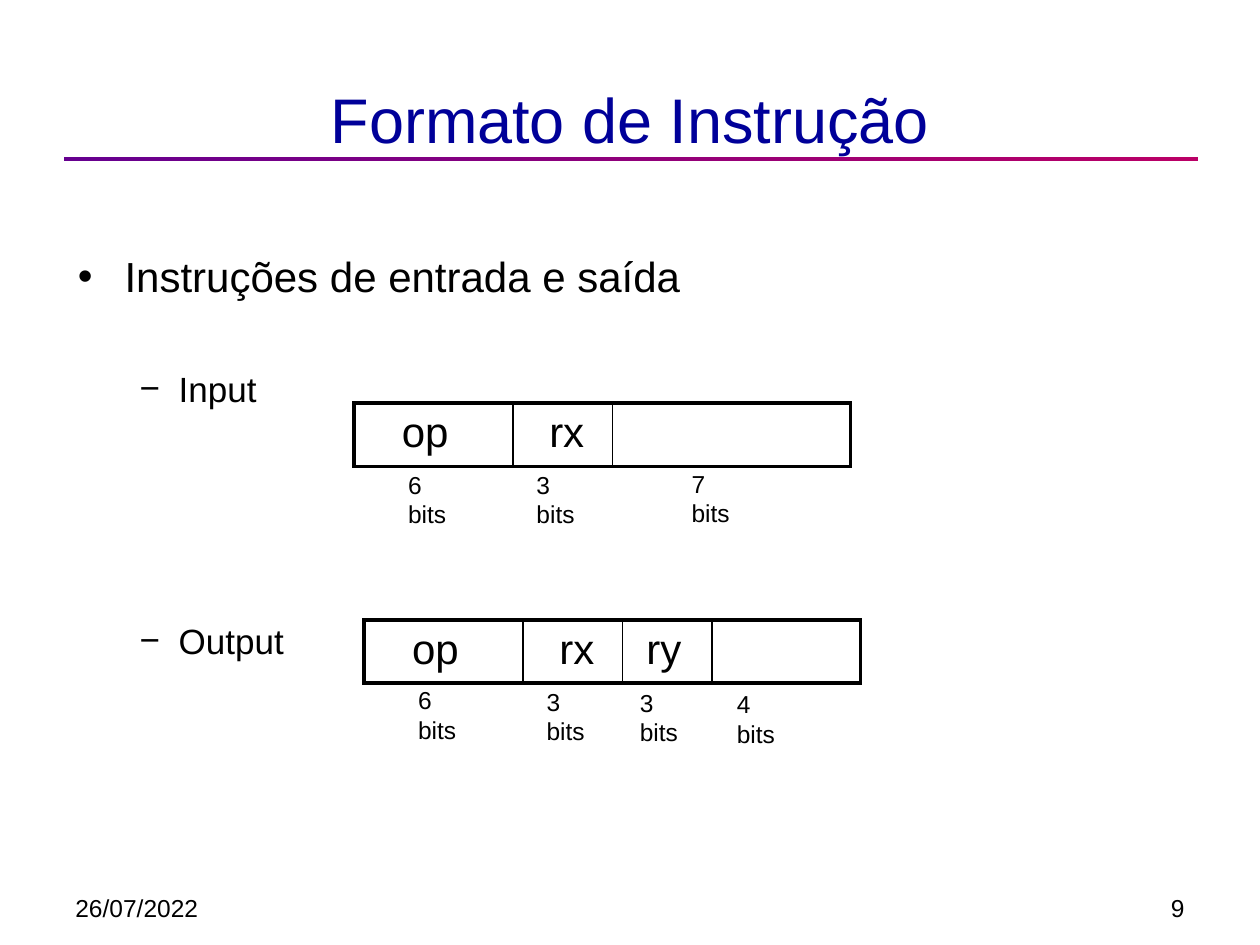
import pptx
import pptx.util
import pptx.dml.color
import pptx.enum.shapes
import pptx.enum.text
import pptx.oxml.ns
import lxml.etree

Inches = pptx.util.Inches
Pt = pptx.util.Pt
Align = pptx.enum.text.PP_ALIGN
COLORS = {"text": "000000", "title": "000099", "rule_start": "66008F", "rule_end": "BA0066"}


def add_run(paragraph, text, size, color="text"):
    run = paragraph.add_run()
    run.text = text
    run.font.size = Pt(size)
    run.font.name = "Arial"
    run.font.color.rgb = pptx.dml.color.RGBColor.from_string(COLORS[color])


def add_text(left, top, width, height, text, size, color="text", align=Align.LEFT, wrap=True):
    box = slide.shapes.add_textbox(Inches(left), Inches(top), Inches(width), Inches(height))
    box.text_frame.word_wrap = wrap
    paragraph = box.text_frame.paragraphs[0]
    paragraph.alignment = align
    add_run(paragraph, text, size, color)
    return box.text_frame


prs = pptx.Presentation()
prs.slide_width = Inches(10)
prs.slide_height = Inches(7.5)
slide = prs.slides.add_slide(prs.slide_layouts[6])
qn = pptx.oxml.ns.qn

rule = slide.shapes.add_shape(
    pptx.enum.shapes.MSO_SHAPE.RECTANGLE, Inches(0.51), Inches(1.25), Inches(9), Inches(0.03))
rule.shadow.inherit = False
rule.line.fill.background()
rule.fill.gradient()
rule.fill.gradient_angle = 0
for stop, position, key in zip(rule.fill.gradient_stops, (0, 1), ("rule_start", "rule_end")):
    stop.position = position
    stop.color.rgb = pptx.dml.color.RGBColor.from_string(COLORS[key])

add_text(0.5, 7.04, 2.33, 0.4, "26/07/2022", 14)
add_text(7.17, 7.04, 2.33, 0.4, "9", 14, align=Align.RIGHT)
title = add_text(0.51, 0.5, 8.98, 0.79, "Formato de Instrução", 36, "title", Align.CENTER)
title.vertical_anchor = pptx.enum.text.MSO_ANCHOR.BOTTOM

body = slide.shapes.add_textbox(Inches(0.51), Inches(1.94), Inches(8.98), Inches(4.85)).text_frame
body.word_wrap = True
topics = [
    ("Instruções de entrada e saída", 0, 24, 0, "•", 0.38, -0.37),
    ("Input", 1, 20, 38, "−", 0.81, -0.31),
    ("Output", 1, 20, 120, "−", 0.81, -0.31),
]
for index, (text, level, size, gap, bullet, margin, indent) in enumerate(topics):
    paragraph = body.add_paragraph() if index else body.paragraphs[0]
    paragraph.level = level
    paragraph.space_before = Pt(gap)
    add_run(paragraph, text, size)
    properties = paragraph._p.get_or_add_pPr()
    properties.set("marL", str(Inches(margin)))
    properties.set("indent", str(Inches(indent)))
    bullet_color = lxml.etree.SubElement(properties, qn("a:buClr"))
    lxml.etree.SubElement(bullet_color, qn("a:srgbClr"), val=COLORS["text"])
    lxml.etree.SubElement(properties, qn("a:buFont"), typeface="Arial")
    lxml.etree.SubElement(properties, qn("a:buChar"), char=bullet)

formats = [
    (2.81, 3.2, 0.47,
     [("op", 1.26, 0.38), ("rx", 0.79, 0.29), ("", 1.89, 0.1)],
     [("6 bits", 3.14, 3.68), ("3 bits", 4.16, 3.68), ("7 bits", 5.39, 3.67)]),
    (2.89, 4.92, 0.5,
     [("op", 1.26, 0.38), ("rx", 0.79, 0.29), ("ry", 0.71, 0.19), ("", 1.18, 0.1)],
     [("6 bits", 3.22, 5.39), ("3 bits", 4.24, 5.4), ("3 bits", 4.98, 5.41), ("4 bits", 5.75, 5.42)]),
]
for left, top, height, fields, bit_labels in formats:
    frame = slide.shapes.add_table(
        1, len(fields), Inches(left), Inches(top), Inches(3.94), Inches(height))
    table = frame.table
    table.first_row = False
    table.horz_banding = False
    table.rows[0].height = Inches(height)
    for column, (field, width, margin) in enumerate(fields):
        table.columns[column].width = Inches(width)
        cell = table.cell(0, column)
        cell.margin_left = Inches(margin)
        if field:
            add_run(cell.text_frame.paragraphs[0], field, 24)
        outer_left = column == 0
        outer_right = column == len(fields) - 1
        properties = cell._tc.get_or_add_tcPr()
        for side, outer in (("L", outer_left), ("R", outer_right), ("T", True), ("B", True)):
            border = lxml.etree.SubElement(
                properties, qn("a:ln" + side), w=str(Pt(2.21 if outer else 0.96)))
            border_fill = lxml.etree.SubElement(border, qn("a:solidFill"))
            lxml.etree.SubElement(border_fill, qn("a:srgbClr"), val=COLORS["text"])
        cell.fill.background()
    for bits, label_left, label_top in bit_labels:
        add_text(label_left, label_top, 0.66, 0.33, bits, 14, wrap=False)

prs.save("out.pptx")
